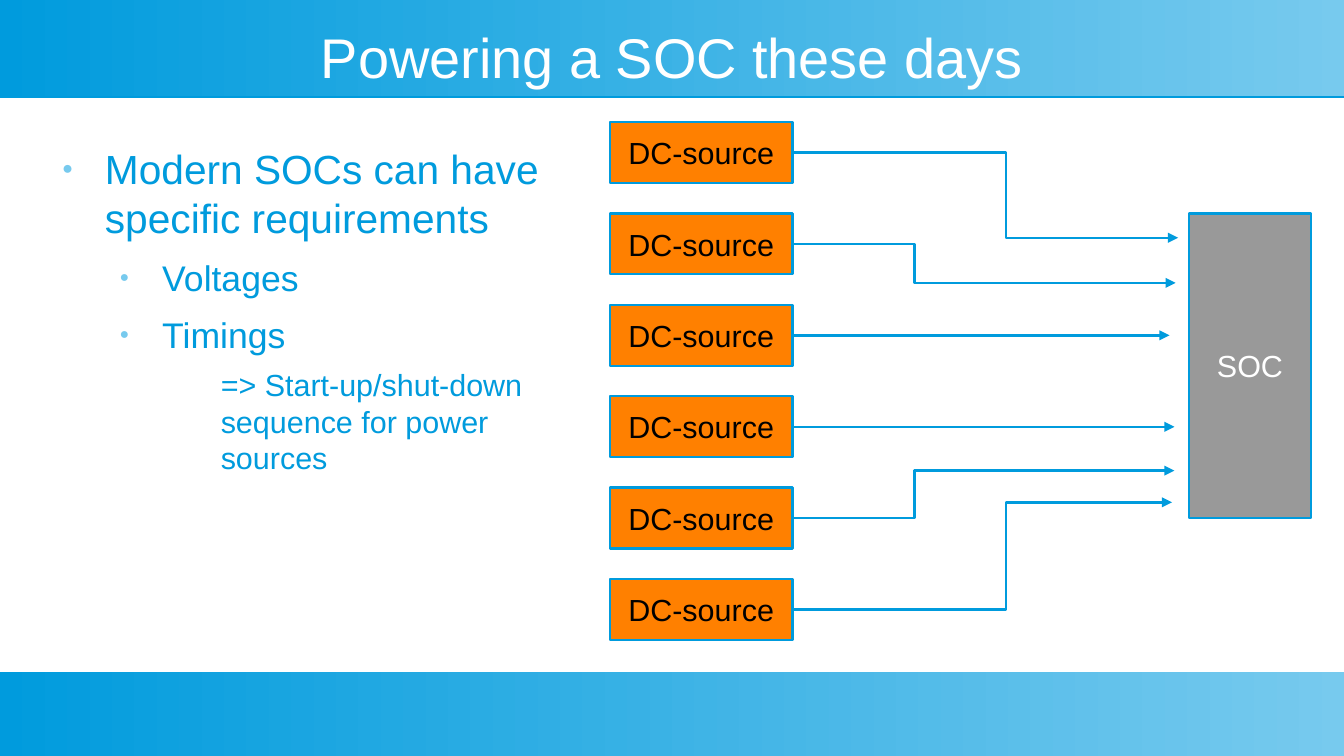
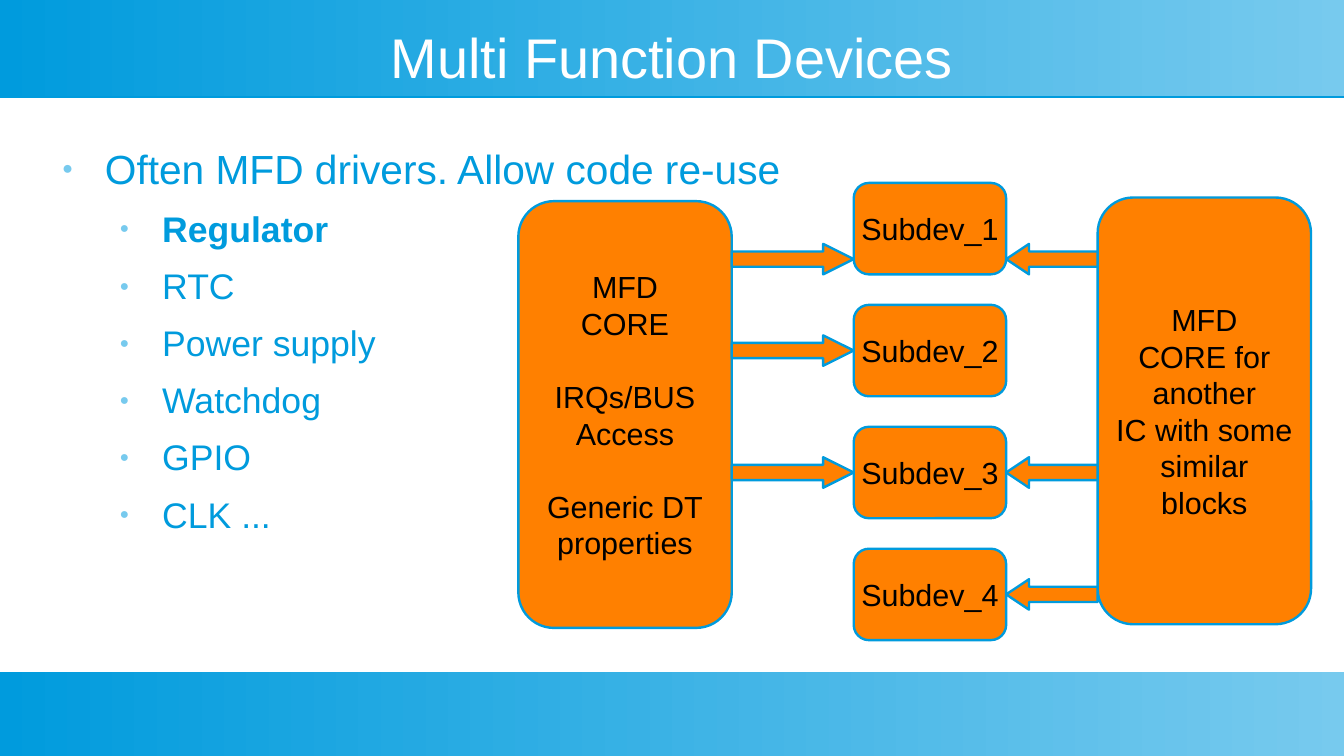
from lxml import etree
from pptx import Presentation
from pptx.dml.color import RGBColor
from pptx.enum.shapes import MSO_CONNECTOR, MSO_SHAPE
from pptx.enum.text import MSO_ANCHOR, MSO_AUTO_SIZE, PP_ALIGN
from pptx.oxml.ns import qn
from pptx.util import Emu, Pt

RECTANGLE = MSO_SHAPE.RECTANGLE
ROUNDED = MSO_SHAPE.ROUNDED_RECTANGLE
RIGHT_ARROW = MSO_SHAPE.RIGHT_ARROW
LEFT_ARROW = MSO_SHAPE.LEFT_ARROW
ELBOW = MSO_CONNECTOR.ELBOW
STRAIGHT = MSO_CONNECTOR.STRAIGHT
MIDDLE = MSO_ANCHOR.MIDDLE
TOP = MSO_ANCHOR.TOP
NO_FIT = MSO_AUTO_SIZE.NONE
GROW = MSO_AUTO_SIZE.SHAPE_TO_FIT_TEXT
CENTER = PP_ALIGN.CENTER
LEFT = PP_ALIGN.LEFT

EMU_PER_PX = 9144
SLIDE_W, SLIDE_H = 1102, 620
BLUE, SKY, ORANGE = "009BDD", "77CAEE", "FF8000"
GRAY, WHITE, BLACK = "999999", "FFFFFF", "000000"
FONT = "Arial"
LINE_WIDTH = Pt(1.42)
GROUP_GAP = Pt(21.6)

BANDS = [(0, 0, SLIDE_W, 79), (0, 551, SLIDE_W, 69)]
TITLE_BOX = (39, 20, 1024, 52)
NO_MARGINS = dict.fromkeys(
    ("margin_left", "margin_top", "margin_right", "margin_bottom"), 0
)
TITLE_FRAME = {**NO_MARGINS, "vertical_anchor": MIDDLE, "auto_size": GROW}
BODY_FRAME = {**NO_MARGINS, "vertical_anchor": TOP, "auto_size": NO_FIT}
LABEL_FRAME = {"vertical_anchor": MIDDLE, "word_wrap": False}
LEVELS = [
    {"size": 24, "before": 10.6, "margin": 47, "indent": -35},
    {"size": 21, "before": 8.5, "margin": 94, "indent": -35},
    {"size": 18, "before": 6.3, "margin": 142, "indent": 0},
]


def px(length):
    return Emu(length * EMU_PER_PX)


def rgb(value):
    return RGBColor.from_string(value)


def apply(target, values):
    for name, value in values.items():
        setattr(target, name, value)


def place(shape, box):
    apply(shape, dict(zip(("left", "top", "width", "height"), map(px, box))))


def within(box, left, top, width, height):
    return box[0] + left, box[1] + top, width, height


def add_xml(parent, tag, **attributes):
    return etree.SubElement(parent, qn(tag), attributes)


def add_run(paragraph, text, size, color, bold=False):
    run = paragraph.add_run()
    run.text = text
    apply(run.font, {"name": FONT, "size": Pt(size), "bold": bold})
    run.font.color.rgb = rgb(color)


def add_block(slide, kind, box, fill=ORANGE, adjust=()):
    block = slide.shapes.add_shape(kind, *map(px, box))
    block.shadow.inherit = False
    block.fill.solid()
    block.fill.fore_color.rgb = rgb(fill)
    block.line.color.rgb = rgb(BLUE)
    block.line.width = LINE_WIDTH
    for index, value in enumerate(adjust):
        block.adjustments[index] = value
    return block


def add_label(block, groups, color=BLACK):
    frame = block.text_frame
    apply(frame, LABEL_FRAME)
    paragraph = frame.paragraphs[0]
    for group_index, lines in enumerate(groups):
        for line_index, text in enumerate(lines):
            if group_index or line_index:
                paragraph = frame.add_paragraph()
            if group_index and not line_index:
                paragraph.space_before = GROUP_GAP
            paragraph.alignment = CENTER
            add_run(paragraph, text, 18, color)


def add_wire(slide, start, end, elbow=None):
    kind = STRAIGHT if elbow is None else ELBOW
    wire = slide.shapes.add_connector(kind, *map(px, (*start, *end)))
    wire.line.color.rgb = rgb(BLUE)
    wire.line.width = LINE_WIDTH
    properties = wire._element.spPr
    add_xml(properties.find(qn("a:ln")), "a:tailEnd", type="triangle")
    add_xml(properties, "a:effectLst")
    if elbow is not None:
        ratio = round((elbow - start[0]) / (end[0] - start[0]) * 100000)
        geometry = properties.find(qn("a:prstGeom"))
        guides = geometry.find(qn("a:avLst"))
        if guides is None:
            guides = add_xml(geometry, "a:avLst")
        add_xml(guides, "a:gd", name="adj1", fmla=f"val {ratio}")


def add_bands(slide):
    layout_tree = slide.slide_layout.shapes._spTree
    for index, box in enumerate(BANDS):
        band = slide.shapes.add_shape(RECTANGLE, *map(px, box))
        band.line.fill.background()
        band.fill.gradient()
        band.fill.gradient_angle = 0
        for stop, color in zip(band.fill.gradient_stops, (BLUE, SKY)):
            stop.color.rgb = rgb(color)
        for stop, position in zip(band.fill.gradient_stops, (0, 1)):
            stop.position = position
        band.shadow.inherit = False
        effects = band._element.spPr.find(qn("a:effectLst"))
        shadow = add_xml(
            effects, "a:outerShdw", dist=str(Pt(0.9)), dir="5400000",
            algn="tl", rotWithShape="0",
        )
        add_xml(shadow, "a:srgbClr", val=BLUE)
        band._element.nvSpPr.cNvPr.set("id", str(20 + index))
        layout_tree.insert(2 + index, band._element)


def fill_title(slide, text):
    title = slide.shapes.title
    place(title, TITLE_BOX)
    apply(title.text_frame, TITLE_FRAME)
    paragraph = title.text_frame.paragraphs[0]
    paragraph.alignment = CENTER
    add_run(paragraph, text, 33, WHITE)


def format_level(paragraph, level):
    style = LEVELS[level]
    apply(paragraph, {
        "level": level, "alignment": LEFT, "space_before": Pt(style["before"]),
    })
    properties = paragraph._p.get_or_add_pPr()
    properties.set("marL", str(px(style["margin"])))
    properties.set("indent", str(px(style["indent"])))
    if style["indent"]:
        add_xml(add_xml(properties, "a:buClr"), "a:srgbClr", val=SKY)
        add_xml(properties, "a:buSzPct", val="45000")
        add_xml(properties, "a:buFont", typeface=FONT)
        add_xml(properties, "a:buChar", char="●")
    else:
        add_xml(properties, "a:buNone")


def fill_body(slide, box, items):
    body = slide.placeholders[1]
    place(body, box)
    frame = body.text_frame
    apply(frame, BODY_FRAME)
    for index, (level, text, bold) in enumerate(items):
        paragraph = frame.add_paragraph() if index else frame.paragraphs[0]
        format_level(paragraph, level)
        add_run(paragraph, text, LEVELS[level]["size"], BLUE, bold)


def draw_power_diagram(slide, box):
    left, top = box[:2]
    soc = add_block(slide, RECTANGLE, within(box, 475, 75, 100, 250), GRAY)
    add_label(soc, [["SOC"]], WHITE)
    arrivals = [
        (466, 95, 325), (464, 132, 250), (459, 175, None),
        (463, 250, None), (463, 286, 250), (461, 312, 325),
    ]
    for row, (end_x, end_y, elbow) in enumerate(arrivals):
        source_top = row * 75
        source = add_block(
            slide, RECTANGLE, within(box, 0, source_top, 150, 50)
        )
        add_label(source, [["DC-source"]])
        add_wire(
            slide,
            (left + 150, top + source_top + 25),
            (left + end_x, top + end_y),
            None if elbow is None else left + elbow,
        )


def draw_mfd_diagram(slide, box):
    cores = [
        (0, 15, [["MFD", "CORE"], ["IRQs/BUS", "Access"],
                 ["Generic DT", "properties"]]),
        (475, 12, [["MFD", "CORE for", "another", "IC with some",
                    "similar", "blocks"]]),
    ]
    for left, top, groups in cores:
        core = add_block(
            slide, ROUNDED, within(box, left, top, 175, 350), adjust=(0.167,)
        )
        add_label(core, groups)
    for row in range(4):
        subdev = add_block(
            slide, ROUNDED, within(box, 275, row * 100, 125, 75),
            adjust=(0.167,),
        )
        add_label(subdev, [[f"Subdev_{row + 1}"]])
    arrows = [
        (RIGHT_ARROW, 175, 100, 1, (50, 125, 225)),
        (LEFT_ARROW, 400, 75, 0.75, (50, 225, 325)),
    ]
    for kind, left, width, head, tops in arrows:
        for top in tops:
            add_block(
                slide, kind, within(box, left, top, width, 25),
                adjust=(0.5, head),
            )


def main():
    deck = Presentation()
    deck.slide_width, deck.slide_height = px(SLIDE_W), px(SLIDE_H)
    layout = deck.slide_layouts[1]

    power = deck.slides.add_slide(layout)
    add_bands(power)
    fill_title(power, "Powering a SOC these days")
    fill_body(power, (39, 118, 436, 394), [
        (0, "Modern SOCs can have specific requirements", False),
        (1, "Voltages", False),
        (1, "Timings", False),
        (2, "=> Start-up/shut-down sequence for power sources", False),
    ])
    draw_power_diagram(power, (500, 100, 575, 425))

    devices = deck.slides.add_slide(layout)
    fill_title(devices, "Multi Function Devices")
    subdevices = ["RTC", "Power supply", "Watchdog", "GPIO", "CLK ..."]
    fill_body(devices, (39, 118, 1024, 394), [
        (0, "Often MFD drivers. Allow code re-use", False),
        (1, "Regulator", True),
        *((1, name, False) for name in subdevices),
    ])
    draw_mfd_diagram(devices, (425, 150, 650, 375))

    deck.save("out.pptx")


if __name__ == "__main__":
    main()
